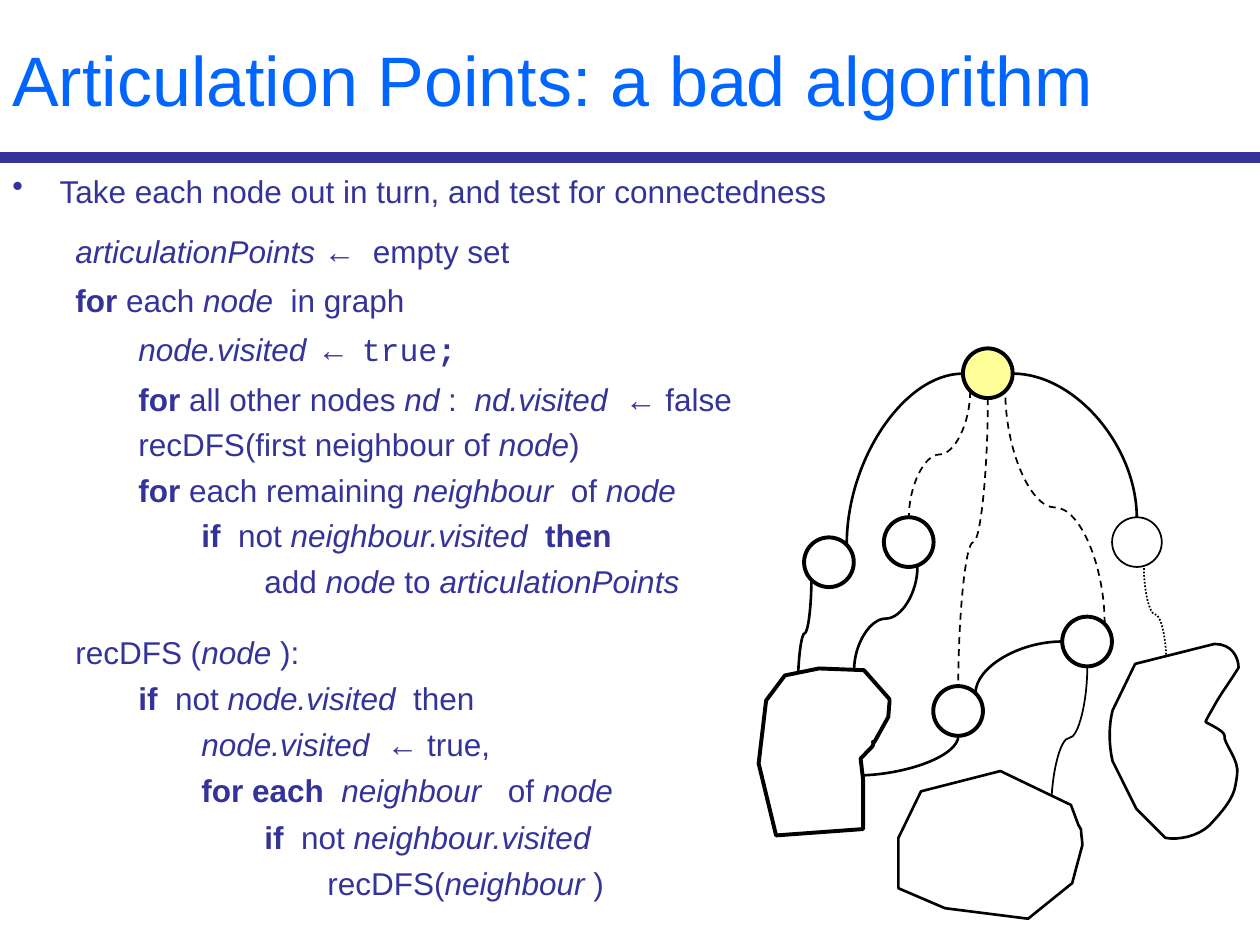
from dataclasses import dataclass
from typing import NamedTuple, Optional

from lxml import etree
from pptx import Presentation
from pptx.dml.color import RGBColor
from pptx.enum.dml import MSO_LINE
from pptx.enum.shapes import MSO_CONNECTOR, MSO_SHAPE
from pptx.enum.text import MSO_ANCHOR
from pptx.oxml.ns import qn
from pptx.util import Pt

MIDDLE = MSO_ANCHOR.MIDDLE
OVAL = MSO_SHAPE.OVAL
STRAIGHT, CURVED = MSO_CONNECTOR.STRAIGHT, MSO_CONNECTOR.CURVE
DASHED, DOTTED = MSO_LINE.DASH, MSO_LINE.ROUND_DOT


@dataclass(frozen=True)
class Theme:
    title: RGBColor = RGBColor(0x00, 0x66, 0xFF)
    text: RGBColor = RGBColor(0x33, 0x33, 0x99)
    ink: RGBColor = RGBColor(0x00, 0x00, 0x00)
    paper: RGBColor = RGBColor(0xFF, 0xFF, 0xFF)
    highlight: RGBColor = RGBColor(0xFF, 0xFF, 0x99)
    font: str = "Arial"
    code_font: str = "Courier New"
    title_size: float = 40
    text_size: float = 18


class Span(NamedTuple):
    text: str
    bold: bool = False
    italic: bool = False
    code: bool = False


class Line(NamedTuple):
    level: int
    before: float
    spans: list


class Node(NamedTuple):
    x: float
    y: float
    weight: float = 2.25
    fill: RGBColor = Theme.paper


class Edge(NamedTuple):
    """A quarter bend leaves sideways; any other edge is an upright S."""
    start: tuple
    end: tuple
    weight: float = 1.5
    quarter: bool = False
    dash: Optional[MSO_LINE] = None


class Region(NamedTuple):
    """Two numbers make a corner, six make a Bezier curve."""
    weight: float
    steps: list


def bold(text: str) -> Span:
    return Span(text, bold=True)


def italic(text: str) -> Span:
    return Span(text, italic=True)


THEME = Theme()
NODE_SIZE = 28.4
BULLET_INDENT = 27
LEVELS = {0: (27, -27), 1: (58.5, -22.5), 2: (90, -18), 3: (126, -18), 4: (162, -18), 5: (198, -18)}
NORMAL, LOOSE, CALL = 4.4, 6.5, 4.8

LINES = [
    Line(0, 0, [Span("Take each node out in turn, and test for connectedness")]),
    Line(1, 13, [italic("articulationPoints ← "), Span(" empty set")]),
    Line(1, LOOSE, [bold("for"), Span(" each "), italic("node"), Span("  in graph")]),
    Line(2, LOOSE, [italic("node.visited  "), Span("← ", bold=True, code=True),
                    Span("true", code=True), Span(";", bold=True, code=True)]),
    Line(2, LOOSE, [bold("for "), Span("all other nodes "), italic("nd"), Span(" :  "),
                    italic("nd.visited  "), Span("← false")]),
    Line(2, NORMAL, [Span("recDFS(first neighbour of "), italic("node"), Span(")")]),
    Line(2, NORMAL, [bold("for"), Span(" each remaining "), italic("neighbour"),
                     Span("  of "), italic("node")]),
    Line(3, NORMAL, [bold("if  "), Span("not "), italic("neighbour.visited  "), bold("then")]),
    Line(4, NORMAL, [Span("add "), italic("node"), Span(" to "), italic("articulationPoints")]),
    Line(1, 19.2, [Span("recDFS ("), italic("node "), Span("):")]),
    Line(2, CALL, [bold("if  "), Span("not "), italic("node.visited "), Span(" then")]),
    Line(3, CALL, [italic("node.visited "), Span(" ← true,")]),
    Line(3, CALL, [bold("for each  "), italic("neighbour   "), Span("of"), italic(" node")]),
    Line(4, CALL, [bold("if"), Span("  not "), italic("neighbour.visited")]),
    Line(5, CALL, [Span("recDFS("), italic("neighbour "), Span(")")]),
]

NODES = [
    Node(649.7, 309.8, 1), Node(547.5, 406.3), Node(473.7, 321.3),
    Node(564.5, 213.3, fill=THEME.highlight), Node(621.2, 366.6), Node(519.3, 309.8),
]

EDGES = [
    Edge((550.3, 213.5), (483.9, 311.2), quarter=True),
    Edge((456, 392.5), (463.7, 331.2)),
    Edge((578.7, 213.5), (649.6, 296), quarter=True),
    Edge((488, 383), (524.2, 324)),
    Edge((564.5, 227.5), (547.6, 392.3), 1, dash=DASHED),
    Edge((607, 366.6), (557.5, 396.2), quarter=True),
    Edge((631.3, 356.5), (574.5, 223.4), 1, dash=DASHED),
    Edge((666.5, 378), (653.7, 324), 1, dash=DOTTED),
    Edge((554.4, 223.4), (519.3, 296), 1, dash=DASHED),
    Edge((488, 443.2), (547.6, 420.5), quarter=True),
    Edge((600.7, 462.6), (621.3, 380.8), 1),
]

REGIONS = [
    Region(2.25, [
        (493.7, 383), (468, 382), (448.5, 386), (437.8, 400.3), (433.5, 436.3), (443.5, 477.4),
        (493.2, 473.8), (493.2, 445.7), (491.8, 433.5), (494, 431.3, 496, 429, 498.2, 427),
        (500.4, 423.4, 497.5, 424, 499.7, 424), (507.6, 409.7),
        (508.3, 400.3, 508.3, 403.2, 508.3, 399.6)]),
    Region(1.5, [
        (612, 460), (571.7, 440.6), (526.3, 452.2), (513.4, 478.8), (513.4, 507.6), (540, 519),
        (587.5, 525), (612.7, 504.7), (615, 496), (618.5, 483),
        (618.5, 480.2, 617.8, 477.4, 617.8, 474.5), (617.8, 473.8, 616.3, 471.6, 616.3, 471.6)]),
    Region(1.5, [
        (707.8, 381.6), (707.8, 375.8, 704.2, 368, 694, 368), (648.7, 379.4), (635.8, 406),
        (633.6, 414.7, 633.6, 425.5, 635.8, 435), (649.4, 462.2), (666, 478.8),
        (673.2, 480.2, 684.7, 478, 691.2, 471.6), (706.3, 455.8, 705.6, 451.4, 707, 442.8),
        (708.5, 434.2, 699, 424.8, 699.8, 420.5), (699.8, 417.6, 689.8, 413.3, 689, 412.6),
        (689, 411.8, 691.2, 408.2, 694, 403.2), (697, 397.4, 703.4, 388.8, 707.8, 381.6)]),
]


def add_text_box(page, top: float, height: float):
    frame = page.shapes.add_textbox(Pt(0), Pt(top), Pt(720), Pt(height)).text_frame
    frame.word_wrap = True
    return frame


def set_font(font, size: float, color: RGBColor) -> None:
    font.name, font.size = THEME.font, Pt(size)
    font.color.rgb = color


def add_line(para, line: Line) -> None:
    left, indent = LEVELS[line.level]
    properties = para._p.get_or_add_pPr()
    properties.set("marL", str(Pt(left)))
    properties.set("indent", str(Pt(indent)))
    if line.level == 0:
        etree.SubElement(properties, qn("a:buChar")).set("char", "•")
    else:
        etree.SubElement(properties, qn("a:buNone"))
    para.level = line.level
    if line.before:
        para.space_before = Pt(line.before)
    set_font(para.font, THEME.text_size, THEME.text)
    for span in line.spans:
        run = para.add_run()
        run.text = span.text
        if span.bold:
            run.font.bold = True
        if span.italic:
            run.font.italic = True
        if span.code:
            run.font.name = THEME.code_font


def add_connector(page, kind, start: tuple, end: tuple, color: RGBColor, weight: float):
    connector = page.shapes.add_connector(kind, *(Pt(value) for value in (*start, *end)))
    connector.line.color.rgb = color
    connector.line.width = Pt(weight)
    etree.SubElement(connector._element.spPr, qn("a:effectLst"))
    return connector


def add_edge(page, edge: Edge) -> None:
    (x1, y1), (x2, y2) = start, end = edge.start, edge.end
    if not edge.quarter:  # lay the S on its side, then turn it upright
        x, y, half_x, half_y = (x1 + x2) / 2, (y1 + y2) / 2, (x2 - x1) / 2, (y2 - y1) / 2
        start, end = (x - half_y, y + half_x), (x + half_y, y - half_x)
    connector = add_connector(page, CURVED, start, end, THEME.ink, edge.weight)
    properties = connector._element.spPr
    if edge.quarter:
        properties.find(qn("a:prstGeom")).set("prst", "curvedConnector2")
    else:
        properties.find(qn("a:xfrm")).set("rot", str(90 * 60000))
    if edge.dash:
        connector.line.dash_style = edge.dash


def style_shape(shape, fill: RGBColor, weight: float) -> None:
    shape.shadow.inherit = False
    shape.fill.solid()
    shape.fill.fore_color.rgb = fill
    shape.line.color.rgb = THEME.ink
    shape.line.width = Pt(weight)


def add_node(page, node: Node) -> None:
    corner = (Pt(node.x - NODE_SIZE / 2), Pt(node.y - NODE_SIZE / 2))
    style_shape(page.shapes.add_shape(OVAL, *corner, Pt(NODE_SIZE), Pt(NODE_SIZE)), node.fill, node.weight)


def outline(steps: list, pieces: int = 8) -> list:
    """Turn corners and Bezier curves into one list of points."""
    points = []
    for step in steps:
        if len(step) == 2:
            points.append(step)
            continue
        controls = [points[-1], step[:2], step[2:4], step[4:]]
        for t in (piece / pieces for piece in range(1, pieces + 1)):
            shares = ((1 - t) ** 3, 3 * t * (1 - t) ** 2, 3 * t * t * (1 - t), t ** 3)
            points.append(tuple(sum(s * c[axis] for s, c in zip(shares, controls)) for axis in (0, 1)))
    return points


def add_region(page, region: Region) -> None:
    first, *rest = [(Pt(x), Pt(y)) for x, y in outline(region.steps)]
    builder = page.shapes.build_freeform(*first)
    builder.add_line_segments(rest, close=True)
    style_shape(builder.convert_to_shape(), THEME.paper, region.weight)


def main() -> None:
    deck = Presentation()
    deck.slide_width, deck.slide_height = Pt(720), Pt(540)
    page = deck.slides.add_slide(deck.slide_layouts[6])
    add_connector(page, STRAIGHT, (0, 90), (720, 90), THEME.text, 6)

    title = add_text_box(page, 0, 90)
    title.vertical_anchor = MIDDLE
    set_font(title.paragraphs[0].font, THEME.title_size, THEME.title)
    title.paragraphs[0].add_run().text = "Articulation Points: a bad algorithm"

    body = add_text_box(page, 94.5, 445.5)
    for index, line in enumerate(LINES):
        add_line(body.add_paragraph() if index else body.paragraphs[0], line)

    for node in NODES:
        add_node(page, node)
    for edge in EDGES:
        add_edge(page, edge)
    for region in REGIONS:
        add_region(page, region)
    deck.save("out.pptx")


if __name__ == "__main__":
    main()
